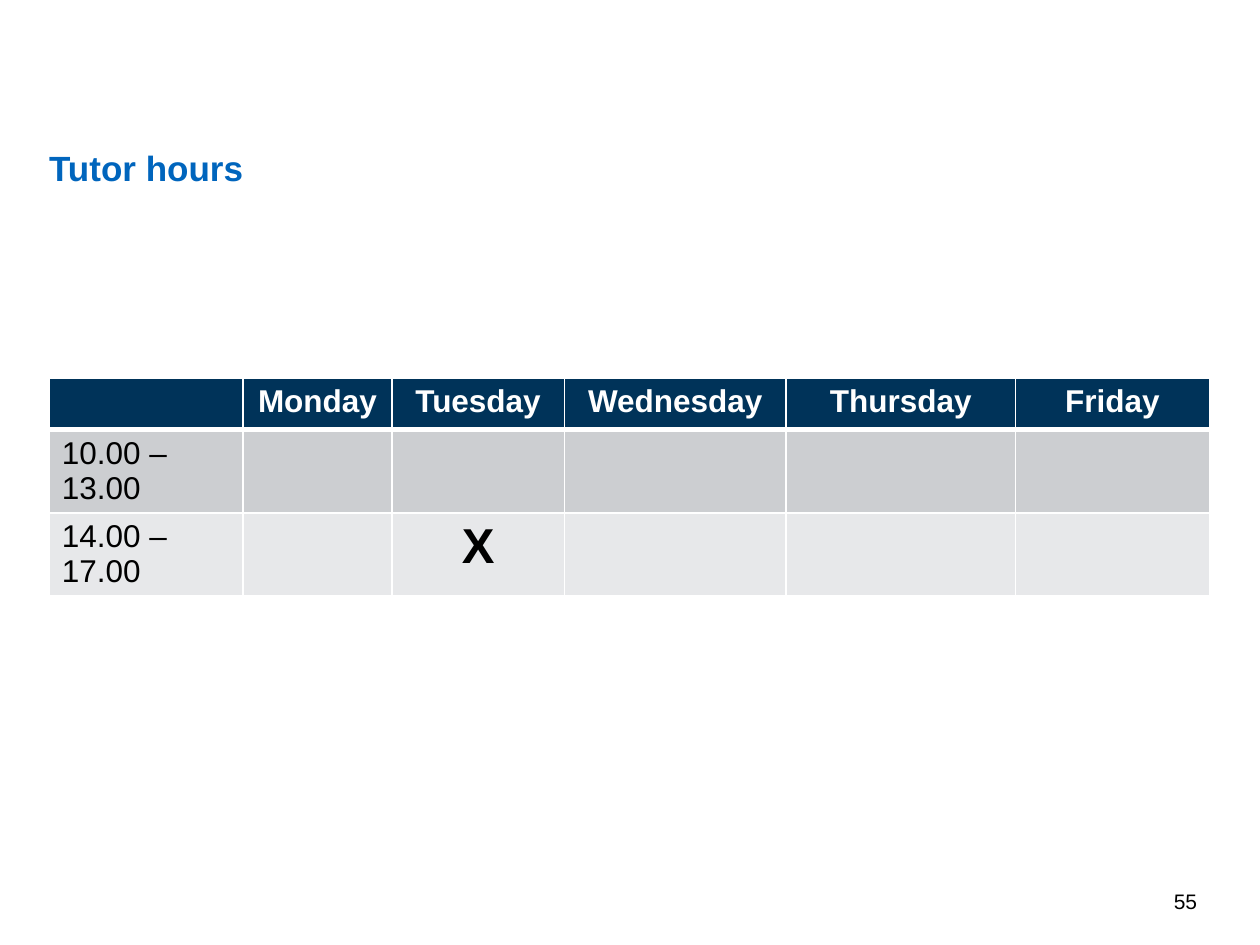
"""Build the tutor hours slide with its weekly timetable."""
from dataclasses import dataclass

from lxml.etree import SubElement
from pptx import Presentation
from pptx.dml.color import RGBColor
from pptx.enum.text import MSO_ANCHOR as Anchor, MSO_AUTO_SIZE as AutoSize, PP_ALIGN as Align
from pptx.oxml.ns import qn
from pptx.util import Inches, Pt


@dataclass(frozen=True)
class Theme:
    font: str = "Arial"
    title: RGBColor = RGBColor(0x00, 0x65, 0xBD)
    header: RGBColor = RGBColor(0x00, 0x33, 0x59)
    bands: tuple = (RGBColor(0xCC, 0xCE, 0xD1), RGBColor(0xE7, 0xE8, 0xEA))
    white: RGBColor = RGBColor(0xFF, 0xFF, 0xFF)
    black: RGBColor = RGBColor(0x00, 0x00, 0x00)
    title_size: int = 20
    table_size: int = 18
    mark_size: int = 28
    number_size: int = 12


theme = Theme()


def format_paragraph(paragraph, size, color, bold=False, align=Align.LEFT):
    paragraph.alignment = align
    font = paragraph.font
    font.name, font.size, font.bold = theme.font, Pt(size), bold
    font.color.rgb = color


def add_border(cell, side, width):
    line = SubElement(cell._tc.get_or_add_tcPr(), qn(f"a:ln{side}"), w=str(Pt(width)))
    fill = SubElement(line, qn("a:solidFill"))
    SubElement(fill, qn("a:srgbClr"), val=str(theme.white))


presentation = Presentation()
presentation.slide_width, presentation.slide_height = Inches(10), Inches(7.5)
slide = presentation.slides.add_slide(presentation.slide_layouts[5])

title = slide.shapes.title
title.left, title.top = Inches(0.39), Inches(1.08)
title.width, title.height = Inches(8.12), Inches(0.39)
frame = title.text_frame
frame.text = "Tutor hours"
frame.auto_size = AutoSize.NONE
frame.vertical_anchor = Anchor.TOP
frame.margin_left = frame.margin_right = frame.margin_top = frame.margin_bottom = 0
frame.paragraphs[0].line_spacing = 1.25
format_paragraph(frame.paragraphs[0], theme.title_size, theme.title, bold=True)

timetable = [
    ["", "Monday", "Tuesday", "Wednesday", "Thursday", "Friday"],
    ["10.00 – 13.00", "", "", "", "", ""],
    ["14.00 – 17.00", "", "X", "", "", ""],
]
column_widths = [1.54, 1.18, 1.37, 1.76, 1.82, 1.54]
row_heights = [0.41, 0.65, 0.65]
table = slide.shapes.add_table(
    len(row_heights), len(column_widths), Inches(0.39), Inches(3),
    Inches(sum(column_widths)), Inches(sum(row_heights)),
).table
for column, width in zip(table.columns, column_widths):
    column.width = Inches(width)
for row, height in zip(table.rows, row_heights):
    row.height = Inches(height)

for row_index, texts in enumerate(timetable):
    is_header = row_index == 0
    for column_index, text in enumerate(texts):
        cell = table.cell(row_index, column_index)
        top_width = 3 if row_index == 1 else 1
        bottom_width = 3 if is_header else 1
        for side, width in zip("LRTB", (1, 1, top_width, bottom_width)):
            add_border(cell, side, width)
        cell.fill.solid()
        cell.fill.fore_color.rgb = theme.header if is_header else theme.bands[row_index - 1]
        cell.text = text
        format_paragraph(
            cell.text_frame.paragraphs[0],
            theme.mark_size if text == "X" else theme.table_size,
            theme.white if is_header else theme.black,
            bold=is_header or text == "X",
            align=Align.CENTER if is_header or column_index else Align.LEFT,
        )

page_number = slide.shapes.add_textbox(Inches(7.27), Inches(6.95), Inches(2.33), Inches(0.4))
frame = page_number.text_frame
frame.word_wrap = True
frame.vertical_anchor = Anchor.MIDDLE
frame.text = "55"
format_paragraph(frame.paragraphs[0], theme.number_size, theme.black, align=Align.RIGHT)

presentation.save("out.pptx")
